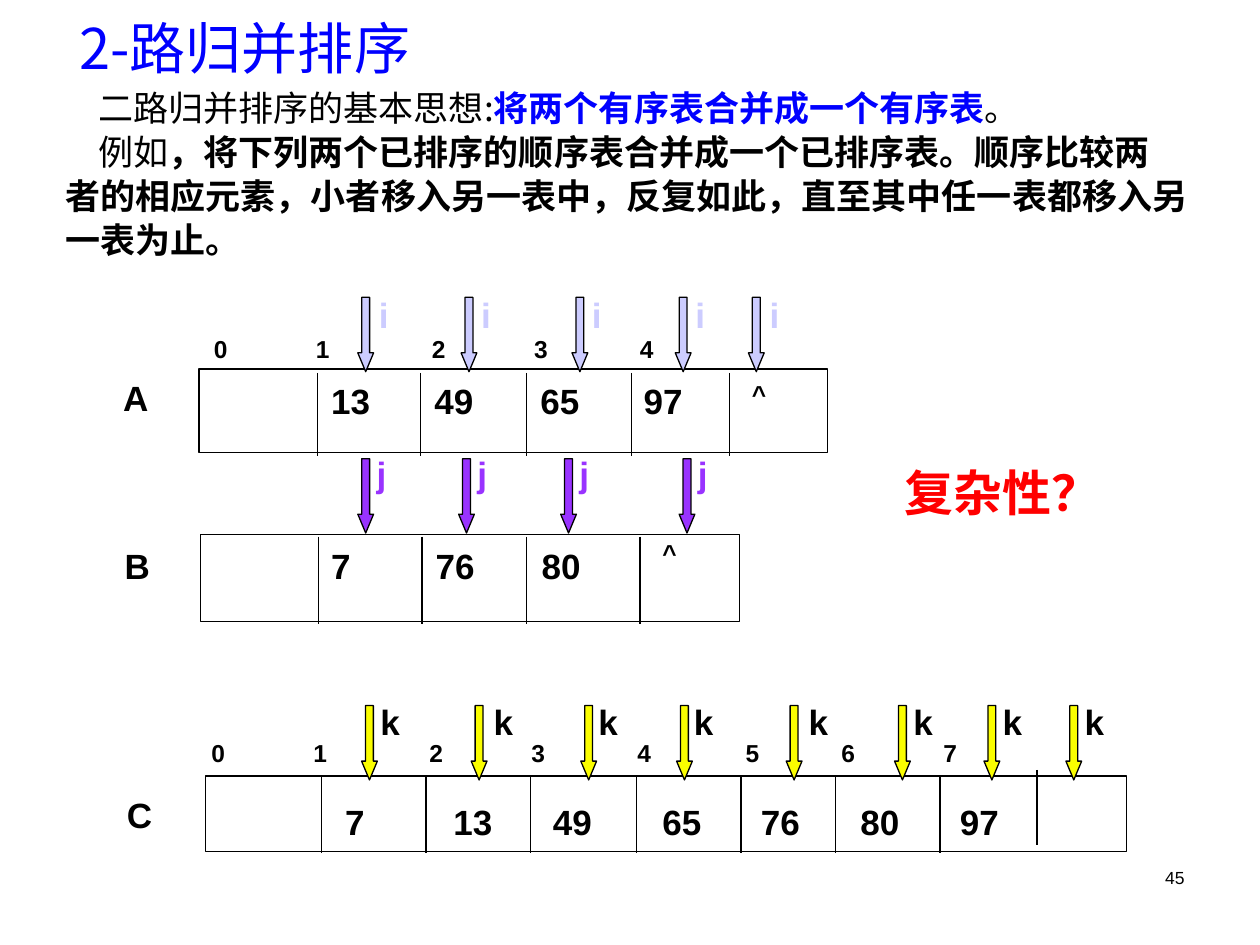
from dataclasses import dataclass

from lxml import etree
from pptx import Presentation
from pptx.dml.color import RGBColor
from pptx.enum.shapes import MSO_CONNECTOR, MSO_SHAPE
from pptx.enum.text import MSO_ANCHOR, PP_ALIGN
from pptx.oxml.ns import qn
from pptx.util import Inches, Pt

RECT, DOWN_ARROW = MSO_SHAPE.RECTANGLE, MSO_SHAPE.DOWN_ARROW
STRAIGHT = MSO_CONNECTOR.STRAIGHT
LEFT, RIGHT = PP_ALIGN.LEFT, PP_ALIGN.RIGHT
TOP, MIDDLE = MSO_ANCHOR.TOP, MSO_ANCHOR.MIDDLE


@dataclass(frozen=True)
class Theme:
    """Colours, fonts and type sizes of the slide."""
    black: str = "000000"
    blue: str = "0000FF"
    red: str = "FF0000"
    lilac: str = "CCCCFF"
    violet: str = "9933FF"
    yellow: str = "FAFD00"
    latin: str = "Arial"
    cjk: str = "Noto Sans CJK SC"
    title: int = 32
    question: int = 28
    body: int = 20
    index: int = 14
    number: int = 10
    line: float = 0.75


@dataclass(frozen=True)
class Row:
    """One array: its box, dividers, values and pointers in grid units."""
    name: str
    name_at: tuple
    box: tuple
    dividers: tuple
    divider_drop: float
    last_drop: float
    values: tuple
    value_top: float
    pointer: str
    fill: str
    ink: str
    pointer_top: float
    label_top: float
    pointers: tuple


T = Theme()
TABS = (8.1, 17.3, 25.4, 33.8, 42.4, 50, 58.1)
ROWS = (
    Row("A", (8.8, 29.1), (15.8, 29.3, 49.9, 6.6), (25.2, 33.4, 41.8, 50.1, 57.9), 0.3, 0.3,
        (("13", 25.3), ("49", 33.5), ("65", 41.9), ("97", 50.1)), 29.3,
        "i", T.lilac, T.lilac, 23.6, 22.5,
        ((28.4, 29.1), (36.6, 37.2), (45.4, 46), (53.6, 54.2), (59.4, 60.1))),
    Row("B", (8.9, 42.4), (15.9, 42.4, 42.8, 6.9), (25.3, 33.5, 41.8, 50.8), 0.2, 0.2,
        (("7", 25.3), ("76", 33.6), ("80", 42)), 42.4,
        "j", T.violet, T.violet, 36.4, 35.1,
        ((28.4, 28.9), (36.4, 36.9), (44.5, 45), (53.9, 54.4))),
    Row("C", (9.1, 62.2), (16.3, 61.6, 73.1, 6), (25.5, 33.8, 42.1, 50.5, 58.8, 66.3, 74.6, 82.3),
        0.1, -0.5,
        (("7", 26.4), ("13", 35), ("49", 42.9), ("65", 51.6), ("76", 59.4), ("80", 67.3),
         ("97", 75.2)), 62.7,
        "k", T.yellow, T.black, 56, 54.8,
        ((28.7, 29.2), (37.4, 38.2), (46.1, 46.5), (53.7, 54.1), (62.4, 63.2), (71, 71.5),
         (78.1, 78.6), (84.6, 85.1))),
)


def grid(*units):
    """Turn units of a 100 by 75 grid into lengths."""
    return [Inches(u / 10) for u in units]


def assign(target, values):
    """Set attributes from a dict of format values."""
    for name, value in values.items():
        setattr(target, name, value)


def add_run(p, text, size, color=T.black, bold=False, font=T.latin):
    """Append one formatted run to a paragraph."""
    r = p.add_run()
    r.text = text
    assign(r.font, {"size": Pt(size), "bold": bold, "name": font})
    r.font.color.rgb = RGBColor.from_string(color)
    etree.SubElement(r.font._element, qn("a:ea"), typeface=T.cjk)


def add_text(shapes, text, box, size=T.body, color=T.black, bold=True, align=LEFT, inset=0.5):
    """Add a one-line text box and return its paragraph."""
    tf = shapes.add_textbox(*grid(*box)).text_frame
    assign(tf, {"word_wrap": True, "margin_top": grid(inset)[0]})
    p = tf.paragraphs[0]
    p.alignment = align
    add_run(p, text, size, color, bold)
    return p


def style_line(s):
    """Give a shape or connector the thin black line."""
    s.line.color.rgb = RGBColor.from_string(T.black)
    s.line.width = Pt(T.line)


def add_divider(shapes, x, top, height):
    """Draw a vertical line between two cells."""
    s = shapes.add_connector(STRAIGHT, *grid(x, top, x, top + height))
    style_line(s)
    etree.SubElement(s._element.spPr, qn("a:effectLst"))


def add_pointer(shapes, row, arrow_x, label_x):
    """Group a down arrow with its letter."""
    group = shapes.add_group_shape().shapes
    s = group.add_shape(DOWN_ARROW, *grid(arrow_x, row.pointer_top, 1.25, 5.9))
    s.shadow.inherit = False
    s.adjustments[0], s.adjustments[1] = 0.5, 1.194
    s.fill.solid()
    s.fill.fore_color.rgb = RGBColor.from_string(row.fill)
    style_line(s)
    add_text(group, row.pointer, (label_x, row.label_top, 5.3, 4.3), color=row.ink, inset=0.8)


def add_row(shapes, row):
    """Draw one array with its name, cells, values and pointers."""
    s = shapes.add_shape(RECT, *grid(*row.box))
    s.shadow.inherit = False
    s.fill.background()
    style_line(s)
    _, top, _, height = row.box
    for x in row.dividers:
        drop = row.last_drop if x == row.dividers[-1] else row.divider_drop
        add_divider(shapes, x, top + drop, height)
    add_text(shapes, row.name, (*row.name_at, 6.7, 4.3), inset=0.8)
    for value, x in row.values:
        add_text(shapes, value, (x, row.value_top, 6.7, 4.3), inset=0.8)
    for arrow_x, label_x in row.pointers:
        add_pointer(shapes, row, arrow_x, label_x)


def add_indices(shapes, x, top, count):
    """Write the cell numbers on tab stops."""
    text = "\t".join(str(n) for n in range(count))
    p = add_text(shapes, text, (x, top, 66.6, 3.3), T.index)
    tabs = etree.SubElement(p._p.get_or_add_pPr(), qn("a:tabLst"))
    for pos in grid(*TABS[:count - 1]):
        etree.SubElement(tabs, qn("a:tab"), pos=str(pos), algn="l")


def place(s, box, anchor):
    """Move a placeholder and anchor its text."""
    assign(s, dict(zip(("left", "top", "width", "height"), grid(*box))))
    assign(s.text_frame, {"word_wrap": True, "vertical_anchor": anchor})


def fill_title(s):
    """Write the slide title."""
    place(s, (5.3, 0.8, 75.5, 5.8), MIDDLE)
    p = s.text_frame.paragraphs[0]
    p.alignment = LEFT
    add_run(p, "2-", T.title, T.blue, font=T.cjk)
    add_run(p, "路归并排序", T.title, T.blue)


def fill_body(s):
    """Write the introduction, its first two lines indented."""
    lines = (
        (2.6, (("二路归并排序的基本思想:", T.black, False),
               ("将两个有序表合并成一个有序表", T.blue, True), ("。", T.black, False))),
        (2.6, (("例如", T.black, False),
               ("，将下列两个已排序的顺序表合并成一个已排序表。顺序比较两", T.black, True))),
        (0, (("者的相应元素，小者移入另一表中，反复如此，直至其中任一表都移入另", T.black, True),)),
        (0, (("一表为止。", T.black, True),)),
    )
    place(s, (4.2, 7, 93, 16.7), TOP)
    tf = s.text_frame
    tf.margin_right = 0
    for n, (indent, runs) in enumerate(lines):
        p = tf.add_paragraph() if n else tf.paragraphs[0]
        assign(p, {"alignment": LEFT, "line_spacing": 0.8, "space_before": Pt(6 if n else 0)})
        pPr = p._p.get_or_add_pPr()
        pPr.set("marL", "0")
        pPr.set("indent", str(grid(indent)[0]))
        etree.SubElement(pPr, qn("a:buNone"))
        for text, color, bold in runs:
            add_run(p, text, T.body, color, bold, T.cjk)


def main():
    """Build the merge sort slide."""
    prs = Presentation()
    prs.slide_width, prs.slide_height = grid(100, 75)
    shapes = prs.slides.add_slide(prs.slide_layouts[1]).shapes
    fill_title(shapes.title)
    fill_body(shapes.placeholders[1])
    add_indices(shapes, 16, 26, 5)
    add_indices(shapes, 15.8, 58.1, 8)
    for row in ROWS:
        add_row(shapes, row)
    for x, top in ((58.7, 29.6), (51.6, 42.2)):
        add_text(shapes, "^", (x, top, 6.7, 3.4), T.index)
    add_text(shapes, "复杂性？", (70.8, 36.2, 20.5, 5.7), T.question, T.red)
    add_text(shapes, "45", (71.7, 68.3, 23.3, 5), T.number, bold=False, align=RIGHT)
    prs.save("out.pptx")


if __name__ == "__main__":
    main()
